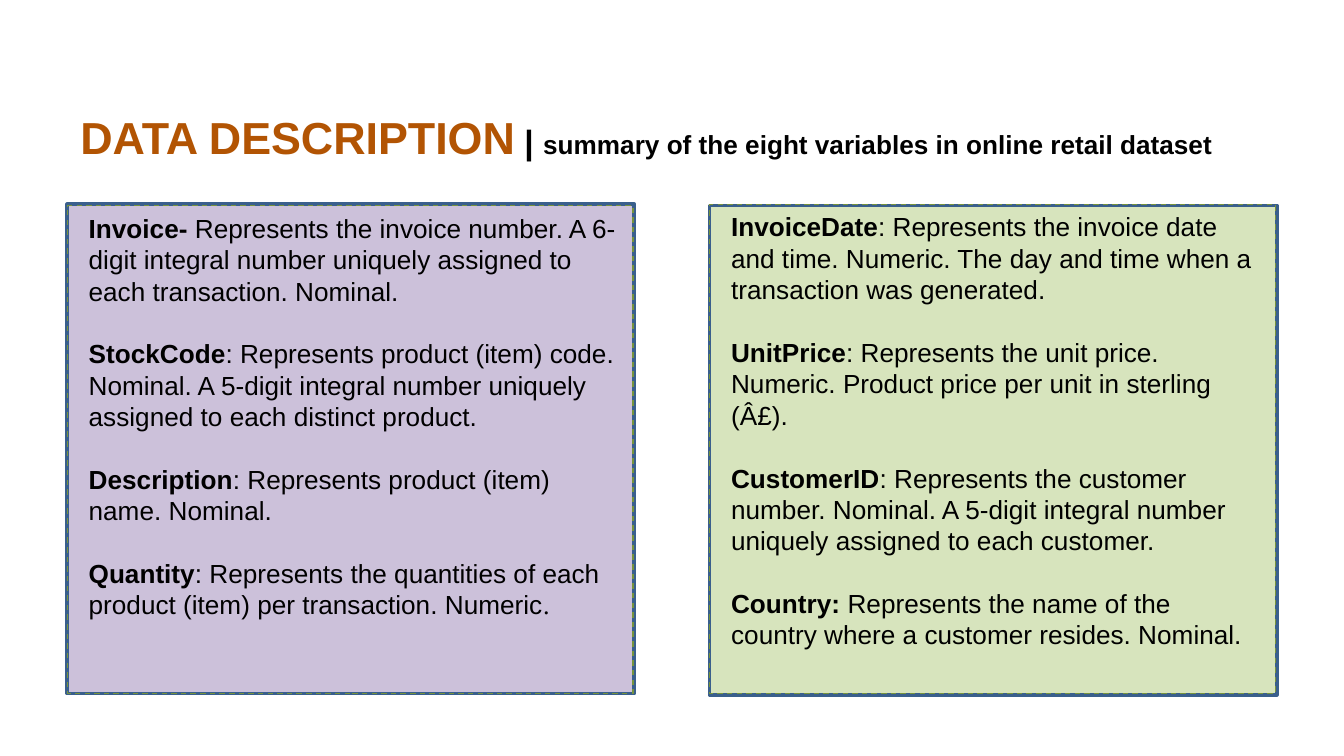
from pptx import Presentation
from pptx.dml.color import RGBColor
from pptx.enum import dml, shapes, text
from pptx.util import Inches, Pt

COLORS = {
    "title": "B25403", "ink": "000000", "edge": "3A5F8C", "dash": "77933C",
    "purple": "CCC1DA", "green": "D7E4BD",
}
SANS, SERIF = "Arial", "Times New Roman"
WIDTH = 10

# Each entry: variable name, description, optional serif ending
LEFT = [
    ("Invoice- ", "Represents the invoice number. A 6-digit integral number "
     "uniquely assigned to each transaction. Nominal."),
    ("StockCode", ": Represents product (item) code. Nominal. A 5-digit "
     "integral number uniquely assigned to each distinct product."),
    ("Description", ": Represents product (item) name. Nominal."),
    ("Quantity", ": Represents the quantities of each product (item) per "
     "transaction. Numeric", "."),
]
RIGHT = [
    ("InvoiceDate", ": Represents the invoice date and time. Numeric. The day "
     "and time when a transaction was generated.\u00a0"),
    ("UnitPrice", ": Represents the unit price. Numeric. Product price per "
     "unit in sterling (Â£)."),
    ("CustomerID", ": Represents the customer number. Nominal. A 5-digit "
     "integral number uniquely assigned to each customer."),
    ("Country: ", "Represents the name of the country where a customer "
     "resides. Nominal."),
]


def color(name):
    return RGBColor.from_string(COLORS[name])


def add_run(para, words, size=14, bold=False, ink="ink", font=SANS):
    run = para.add_run()
    run.text = words
    run.font.name, run.font.size, run.font.bold = font, Pt(size), bold
    run.font.color.rgb = color(ink)


def add_rect(slide, box, line, width, fill=None):
    rect = slide.shapes.add_shape(
        shapes.MSO_SHAPE.RECTANGLE, *[Inches(n) for n in box])
    rect.shadow.inherit = False
    if fill:
        rect.fill.solid()
        rect.fill.fore_color.rgb = color(fill)
    else:
        rect.fill.background()
    rect.line.color.rgb = color(line)
    rect.line.width = Pt(width)
    return rect


def add_title(slide):
    box = slide.shapes.add_textbox(
        Inches(0.5), Inches(0.47), Inches(9), Inches(0.94))
    frame = box.text_frame
    frame.word_wrap = True
    frame.vertical_anchor = text.MSO_ANCHOR.BOTTOM
    frame.margin_bottom = Inches(0.19)
    para = frame.paragraphs[0]
    add_run(para, "DATA DESCRIPTION", 24, True, "title")
    add_run(para, "\u00a0", 18, True, "title")
    add_run(para, "| ", 18, True)
    add_run(para, "summary of the eight variables in online retail dataset",
            14, True)


def add_list(slide, box, items):
    rect = add_rect(slide, box, "dash", 0.75)
    rect.line.dash_style = dml.MSO_LINE.DASH
    frame = rect.text_frame
    frame.word_wrap = True
    frame.vertical_anchor = text.MSO_ANCHOR.TOP
    frame.margin_left = Inches(0.16)
    for i, (name, about, *tail) in enumerate(items):
        para = frame.add_paragraph() if i else frame.paragraphs[0]
        para.alignment = text.PP_ALIGN.LEFT
        para.line_spacing = 1.0
        para.space_before = Pt(16.8 if i else 0)
        add_run(para, name, bold=True)
        add_run(para, about)
        for end in tail:
            add_run(para, end, font=SERIF)


def main():
    deck = Presentation()
    deck.slide_width = Inches(WIDTH)
    deck.slide_height = Inches(WIDTH * 9 / 16)
    slide = deck.slides.add_slide(deck.slide_layouts[6])

    # Coloured panels
    add_rect(slide, (5.28, 1.53, 4.22, 3.64), "edge", 2, "green")
    add_rect(slide, (0.5, 1.52, 4.22, 3.64), "edge", 2, "purple")

    # Heading and variable lists
    add_title(slide)
    add_list(slide, (0.5, 1.53, 4.21, 3.63), LEFT)
    add_list(slide, (5.28, 1.52, 4.21, 3.64), RIGHT)
    deck.save("out.pptx")


main()
